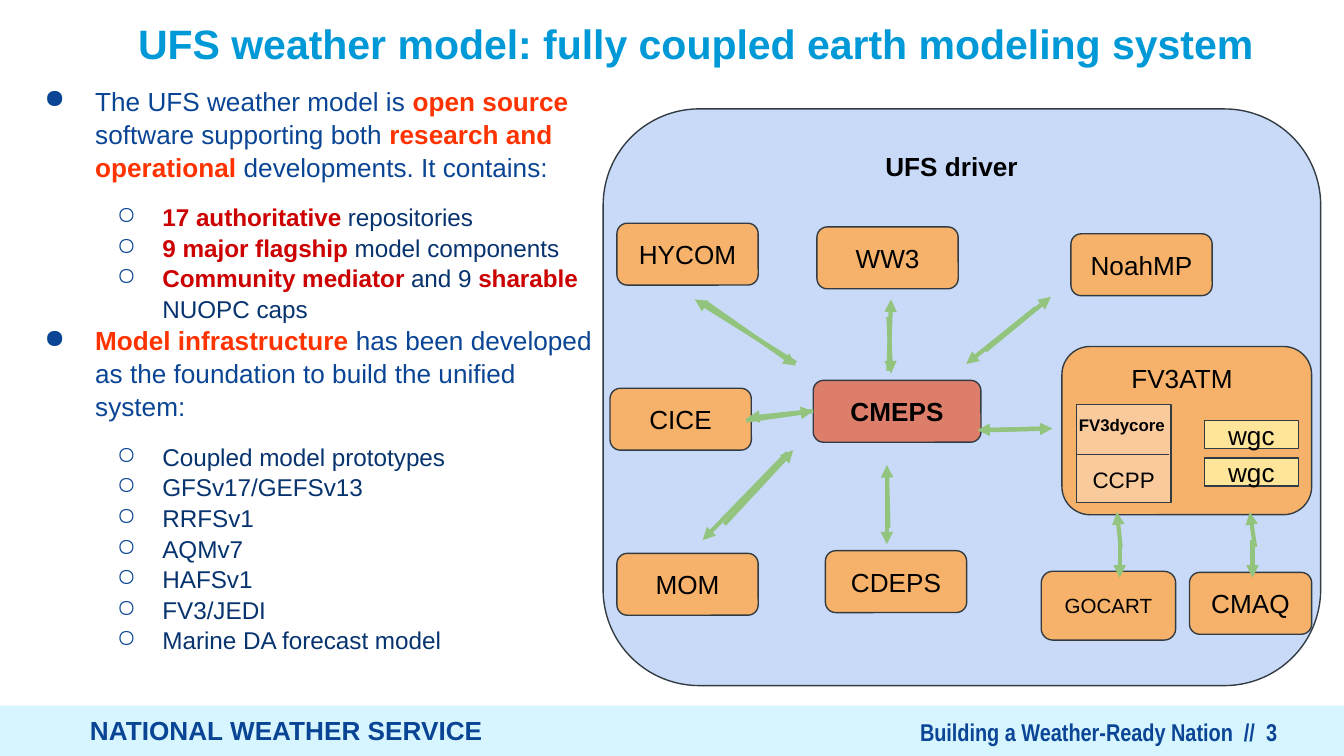
from lxml.etree import SubElement
from pptx import Presentation
from pptx.dml.color import RGBColor
from pptx.enum.shapes import MSO_CONNECTOR, MSO_SHAPE
from pptx.enum.text import MSO_ANCHOR, PP_ALIGN
from pptx.oxml.ns import qn
from pptx.util import Cm, Pt

BLUE, NAVY, ORANGE, RED = "0A4595", "07336F", "FF3300", "CC0000"
BLACK, OUTLINE, GREEN = "000000", "323B42", "93C47D"
BOX, INNER, YELLOW = "F6B26B", "F9CB9C", "FFE599"
BOX_SIZE = (2.67, 1.17)
LABEL_INSETS = (0.25, 0.25)
TEXT_INSETS = (0.25, 0.13)

BODY = [
    (0, [("The UFS weather model is ", BLUE, False), ("open source", ORANGE, True),
         (" software supporting both ", BLUE, False), ("research and operational", ORANGE, True),
         (" developments. It contains:", BLUE, False)]),
    (1, [("17 authoritative", RED, True), (" repositories", NAVY, False)]),
    (1, [("9 major flagship", RED, True), (" model components", NAVY, False)]),
    (1, [("Community mediator", RED, True), (" and 9 ", NAVY, False),
         ("sharable", RED, True), (" NUOPC caps", NAVY, False)]),
    (0, [("Model infrastructure", ORANGE, True),
         (" has been developed as the foundation to build the unified system:", BLUE, False)]),
] + [(1, [(name, NAVY, False)]) for name in (
    "Coupled model prototypes", "GFSv17/GEFSv13", "RRFSv1", "AQMv7", "HAFSv1",
    "FV3/JEDI", "Marine DA forecast model")]

LEVELS = [
    {"size": 14, "bullet": "●", "margin": 1.27, "hanging": 0.96},
    {"size": 13, "bullet": "○", "margin": 2.54, "hanging": 0.86},
]

COMPONENTS = [
    ("CMEPS", (15.37, 7.19, 3.17, 1.17), "DD7E6B", {"bold": True}),
    ("CICE", (11.53, 7.34, *BOX_SIZE), BOX, {}),
    ("MOM", (11.66, 10.46, *BOX_SIZE), BOX, {}),
    ("CDEPS", (15.6, 10.41, *BOX_SIZE), BOX, {}),
    ("HYCOM", (11.66, 4.22, *BOX_SIZE), BOX, {}),
    ("WW3", (15.44, 4.29, *BOX_SIZE), BOX, {}),
    ("NoahMP", (20.24, 4.42, *BOX_SIZE), BOX, {}),
    ("GOCART", (19.68, 10.8, 2.54, 1.3), BOX, {"size": 11}),
    ("CMAQ", (22.48, 10.82, 2.31, 1.17), BOX, {}),
]

ARROWS = [
    (18.62, 6.63, 19.86, 5.61), (19.58, 5.82, 18.26, 6.88),
    (16.79, 9.98, 16.76, 8.79), (16.76, 9.12, 16.76, 10.29),
    (18.72, 8.13, 19.89, 8.1), (19.69, 8.1, 18.47, 8.13),
    (13.34, 5.72, 15.04, 6.91), (15.04, 6.86, 13.13, 5.66),
    (21.18, 10.34, 21.11, 9.68), (21.16, 10.21, 21.16, 10.92),
    (16.79, 7.01, 16.84, 5.66), (16.79, 5.99, 16.84, 7.06),
    (14.88, 8.56, 13.28, 10.21), (13.69, 9.91, 14.99, 8.51),
    (23.72, 10.34, 23.62, 9.68), (23.67, 10.21, 23.67, 10.92),
    (15.37, 7.77, 14.12, 7.9), (14.1, 7.95, 15.37, 7.77),
]


def rgb(value):
    return RGBColor.from_string(value)


def add_run(paragraph, text, size=14, color=BLACK, bold=False, font="Arial"):
    run = paragraph.add_run()
    run.text = text
    run.font.name = font
    run.font.size = Pt(size)
    run.font.bold = bold
    run.font.color.rgb = rgb(color)


def set_frame(shape, insets, anchor=MSO_ANCHOR.TOP):
    frame = shape.text_frame
    frame.word_wrap = True
    frame.vertical_anchor = anchor
    frame.margin_left = frame.margin_right = Cm(insets[0])
    frame.margin_top = frame.margin_bottom = Cm(insets[1])
    return frame


def write(shape, text, align=PP_ALIGN.LEFT, anchor=MSO_ANCHOR.TOP,
          insets=LABEL_INSETS, indent=0, **font_format):
    paragraph = set_frame(shape, insets, anchor).paragraphs[0]
    paragraph.alignment = align
    if indent:
        paragraph._p.get_or_add_pPr().set("marL", str(Cm(indent)))
    add_run(paragraph, text, **font_format)


def add_label(slide, area, text, **text_format):
    write(slide.shapes.add_textbox(*map(Cm, area)), text, **text_format)


def add_box(slide, area, fill, text="", kind=MSO_SHAPE.ROUNDED_RECTANGLE,
            outline=OUTLINE, **font_format):
    shape = slide.shapes.add_shape(kind, *map(Cm, area))
    shape.shadow.inherit = False
    shape.fill.solid()
    shape.fill.fore_color.rgb = rgb(fill)
    if outline:
        shape.line.color.rgb = rgb(outline)
        shape.line.width = Pt(0.75)
    else:
        shape.line.fill.background()
    if text:
        write(shape, text, align=PP_ALIGN.CENTER, anchor=MSO_ANCHOR.MIDDLE, **font_format)


def add_line(slide, ends, color, width, arrow=False):
    connector = slide.shapes.add_connector(MSO_CONNECTOR.STRAIGHT, *map(Cm, ends))
    connector.line.color.rgb = rgb(color)
    connector.line.width = Pt(width)
    if arrow:
        SubElement(connector.line._get_or_add_ln(), qn("a:tailEnd"), type="triangle")
    SubElement(connector._element.spPr, qn("a:effectLst"))


def add_body(slide, area):
    frame = set_frame(slide.shapes.add_textbox(*map(Cm, area)), TEXT_INSETS)
    previous = None
    for level, runs in BODY:
        style = LEVELS[level]
        paragraph = frame.paragraphs[0] if previous is None else frame.add_paragraph()
        paragraph.level = level
        paragraph.line_spacing = 1.05
        paragraph.space_before = Pt(10 if level > (previous or 0) else 0)
        properties = paragraph._p.get_or_add_pPr()
        properties.set("marL", str(Cm(style["margin"])))
        properties.set("indent", str(-Cm(style["hanging"])))
        bullet_color = SubElement(properties, qn("a:buClr"))
        SubElement(bullet_color, qn("a:srgbClr"), val=BLUE)
        SubElement(properties, qn("a:buChar"), char=style["bullet"])
        for text, color, bold in runs:
            add_run(paragraph, text, size=style["size"], color=color, bold=bold)
        previous = level


def add_atmosphere(slide):
    add_box(slide, (20.07, 6.55, 4.72, 3.18), BOX)
    add_label(slide, (20.37, 6.6, 3.94, 1.12), "FV3ATM", align=PP_ALIGN.CENTER)
    add_box(slide, (20.35, 7.65, 1.78, 1.85), INNER, kind=MSO_SHAPE.RECTANGLE)
    add_line(slide, (20.35, 8.59, 22.1, 8.59), OUTLINE, 0.75)
    add_label(slide, (20.14, 7.65, 2.31, 0.89), "FV3dycore", size=9, bold=True)
    add_label(slide, (20.4, 8.56, 1.78, 1.02), "CCPP", size=12)
    for top in (7.95, 8.66):
        add_box(slide, (22.76, top, 1.78, 0.53), YELLOW, "wgc", kind=MSO_SHAPE.RECTANGLE)


def main():
    presentation = Presentation()
    presentation.slide_width, presentation.slide_height = Cm(25.4), Cm(14.29)
    slide = presentation.slides.add_slide(presentation.slide_layouts[6])

    add_box(slide, (0, 13.34, 25.4, 0.95), "D6F5FF", kind=MSO_SHAPE.RECTANGLE, outline=None)
    add_label(slide, (4.01, 13.56, 20.12, 0.33), "Building a Weather-Ready Nation\u00a0 //\u00a0 3".replace("\u00a0", " "),
              align=PP_ALIGN.RIGHT, insets=(0, 0), size=13, color="0B4596", bold=True,
              font="Arial Narrow")
    add_label(slide, (1.45, 13.26, 11.05, 1.3), "NATIONAL WEATHER SERVICE", color=BLUE, bold=True)
    add_label(slide, (1.09, -0.38, 23.7, 2.39),
              "UFS weather model: fully coupled earth modeling system",
              anchor=MSO_ANCHOR.MIDDLE, insets=TEXT_INSETS, indent=1.27,
              size=22, color="0099D8", bold=True)
    add_body(slide, (0.28, 1.45, 11.28, 12.14))

    add_box(slide, (11.4, 2.06, 13.56, 10.9), "C9DAF8")
    add_label(slide, (14.76, 2.59, 6.45, 1.12), "UFS driver", align=PP_ALIGN.CENTER, bold=True)
    for name, area, fill, font_format in COMPONENTS:
        add_box(slide, area, fill, name, **font_format)
    add_atmosphere(slide)
    for ends in ARROWS:
        add_line(slide, ends, GREEN, 2.25, arrow=True)

    presentation.save("out.pptx")


if __name__ == "__main__":
    main()
